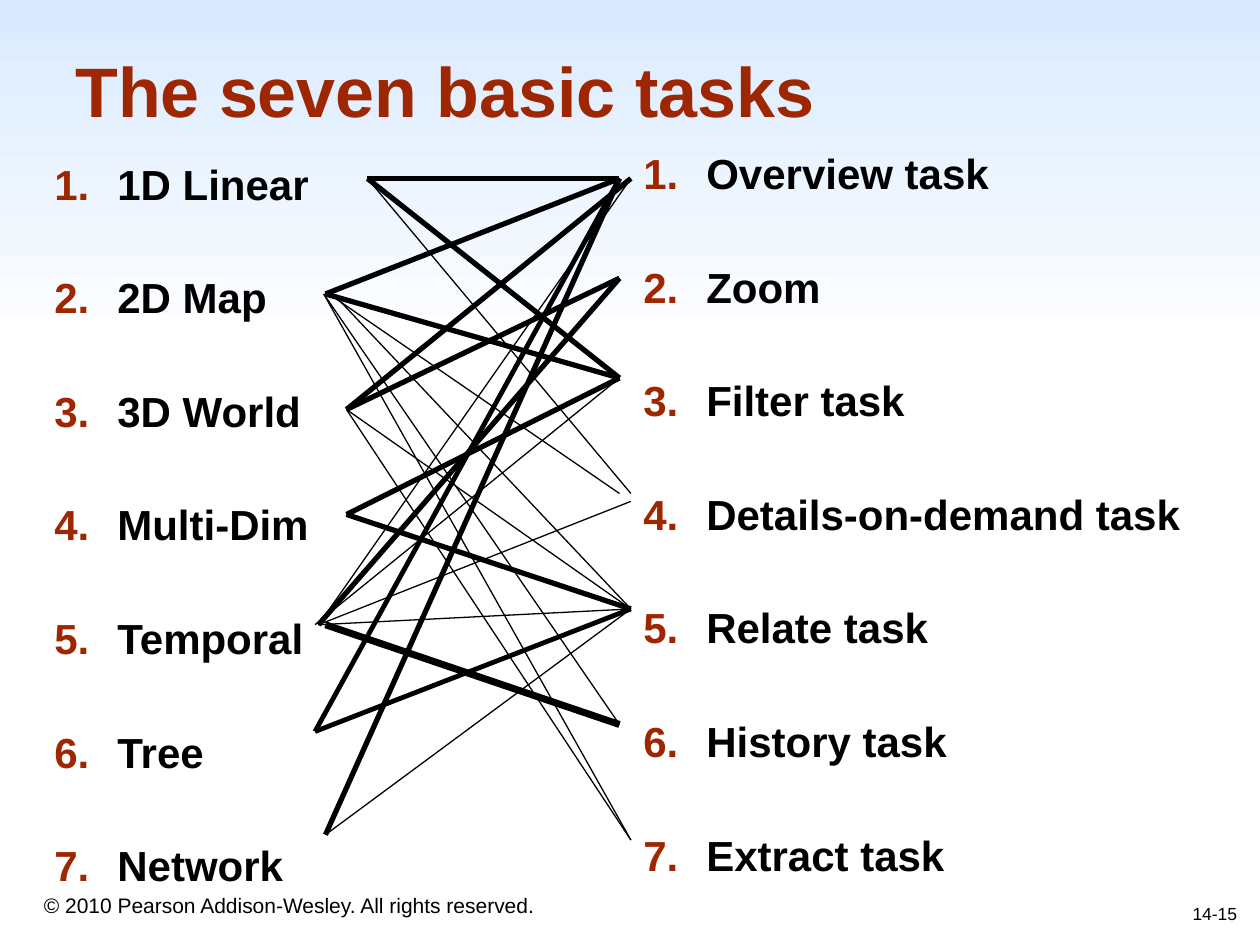
"""Build a slide that links seven data types to the seven basic tasks."""
from dataclasses import dataclass

from lxml import etree
from pptx import Presentation
from pptx.dml.color import RGBColor
from pptx.enum.shapes import MSO_CONNECTOR, MSO_SHAPE
from pptx.enum.text import MSO_ANCHOR, PP_ALIGN
from pptx.oxml.ns import qn
from pptx.util import Pt

STRAIGHT = MSO_CONNECTOR.STRAIGHT
RECTANGLE = MSO_SHAPE.RECTANGLE
TOP, MIDDLE, BOTTOM = MSO_ANCHOR.TOP, MSO_ANCHOR.MIDDLE, MSO_ANCHOR.BOTTOM
LEFT, RIGHT = PP_ALIGN.LEFT, PP_ALIGN.RIGHT


@dataclass(frozen=True)
class Theme:
    """Colours, type sizes and line weights of the slide."""
    font: str = "Arial"
    accent: str = "9E2600"
    ink: str = "000000"
    sky_top: str = "D9EAFF"
    sky_bottom: str = "FAFCFF"
    title: float = 40
    item: float = 24
    footer: float = 12
    number: float = 10
    thin: float = 0.75
    medium: float = 2.75
    thick: float = 3
    heavy: float = 4


THEME = Theme()
THIN, MEDIUM, THICK, HEAVY = THEME.thin, THEME.medium, THEME.thick, THEME.heavy

DATA_TYPES = ["1D Linear", "2D Map", "3D World", "Multi-Dim", "Temporal", "Tree", "Network"]
TASKS = ["Overview task", "Zoom", "Filter task", "Details-on-demand task",
         "Relate task", "History task", "Extract task"]
DATA_Y = [102, 168, 234, 294, 357, 418, 477]
TASK_Y = [102, 159, 216, 282, 348, 414, 480]
NEAR, FAR = 354, 360.5


@dataclass(frozen=True)
class Link:
    """A line from a data type to a task, both counted from one."""
    data: int
    start_x: float
    task: int
    end_x: float
    weight: float
    drop: float = 0


LINKS = [
    Link(1, 210, 1, NEAR, THICK),
    Link(1, 210, 3, NEAR, THICK),
    Link(1, 210, 4, FAR, THIN),
    Link(2, 186, 1, NEAR, THICK),
    Link(3, 198, 5, FAR, THIN),
    Link(2, 190.5, 5, FAR, THIN),
    Link(2, 186, 3, NEAR, THICK),
    Link(2, 188, 4, NEAR, THIN),
    Link(2, 185, 6, NEAR, THIN),
    Link(2, 185, 7, FAR, THIN),
    Link(3, 198, 1, FAR, THICK),
    Link(3, 198, 2, NEAR, THICK),
    Link(3, 198, 7, FAR, THIN),
    Link(4, 198, 5, FAR, THICK),
    Link(4, 198, 3, NEAR, THICK),
    Link(5, 180, 3, NEAR, THIN),
    Link(7, 186, 5, FAR, THIN),
    Link(5, 182, 5, FAR, THIN),
    Link(5, 182, 4, FAR, THIN, 4.5),
    Link(5, 182, 2, NEAR, THICK),
    Link(5, 182, 1, FAR, THIN),
    Link(5, 186, 6, NEAR, HEAVY),
    Link(6, 180, 1, NEAR, MEDIUM),
    Link(6, 180, 5, FAR, MEDIUM),
    Link(7, 186, 1, NEAR, THICK),
]


def colour(code):
    """Turn a hex code into a colour."""
    return RGBColor.from_string(code)


def add_sky(page):
    """Add the pale gradient band across the top."""
    band = page.shapes.add_shape(RECTANGLE, Pt(0), Pt(0), Pt(720), Pt(180))
    band.shadow.inherit = False
    band.line.fill.background()
    band.fill.gradient()
    band.fill.gradient_angle = 270
    for stop, code in zip(band.fill.gradient_stops, (THEME.sky_top, THEME.sky_bottom)):
        stop.color.rgb = colour(code)


def add_box(page, left, top, width, height, anchor=TOP):
    """Add an empty wrapping text box and return its text frame."""
    box = page.shapes.add_textbox(Pt(left), Pt(top), Pt(width), Pt(height))
    box.text_frame.word_wrap = True
    box.text_frame.vertical_anchor = anchor
    return box.text_frame


def add_span(para, text, size, code=THEME.ink, bold=False):
    """Add one styled run to a paragraph."""
    span = para.add_run()
    span.text = text
    span.font.name = THEME.font
    span.font.size = Pt(size)
    span.font.bold = bold
    span.font.color.rgb = colour(code)


def add_label(page, place, anchor, text, size, code=THEME.ink, bold=False, align=LEFT):
    """Add a text box that holds a single line."""
    para = add_box(page, *place, anchor).paragraphs[0]
    para.alignment = align
    add_span(para, text, size, code, bold)


def number_paragraph(para):
    """Give a paragraph a hanging, coloured automatic number."""
    properties = para._p.get_or_add_pPr()
    properties.set("marL", str(Pt(36)))
    properties.set("indent", str(-Pt(36)))
    tint = etree.SubElement(properties, qn("a:buClr"))
    etree.SubElement(tint, qn("a:srgbClr"), val=THEME.accent)
    etree.SubElement(properties, qn("a:buFont"), typeface=THEME.font)
    etree.SubElement(properties, qn("a:buAutoNum"), type="arabicPeriod")


def add_numbered_list(page, place, items):
    """Add a numbered list with evenly spaced items."""
    frame = add_box(page, *place)
    for index, item in enumerate(items):
        para = frame.add_paragraph() if index else frame.paragraphs[0]
        number_paragraph(para)
        para.line_spacing = 0.9
        para.space_before = Pt(39 if index else 0)
        add_span(para, item, THEME.item, bold=True)


def add_link(page, link):
    """Draw the line that joins a data type to a task."""
    line = page.shapes.add_connector(
        STRAIGHT, Pt(link.start_x), Pt(DATA_Y[link.data - 1]),
        Pt(link.end_x), Pt(TASK_Y[link.task - 1] + link.drop))
    line.line.color.rgb = colour(THEME.ink)
    line.line.width = Pt(link.weight)
    etree.SubElement(line._element.spPr, qn("a:effectLst"))


def main():
    """Build the deck and save it."""
    deck = Presentation()
    deck.slide_width, deck.slide_height = Pt(720), Pt(540)
    page = deck.slides.add_slide(deck.slide_layouts[6])
    add_sky(page)
    add_label(page, (18, 498, 438, 30), BOTTOM,
              "© 2010 Pearson Addison-Wesley. All rights reserved.", THEME.footer)
    add_label(page, (36, 6, 654, 90), MIDDLE,
              "The seven basic tasks", THEME.title, THEME.accent, bold=True)
    add_numbered_list(page, (360.5, 84, 348, 420), TASKS)
    add_label(page, (564, 504, 150, 36), MIDDLE, "14-15", THEME.number, align=RIGHT)
    add_numbered_list(page, (24, 90, 258, 420), DATA_TYPES)
    for link in LINKS:
        add_link(page, link)
    deck.save("out.pptx")


if __name__ == "__main__":
    main()
